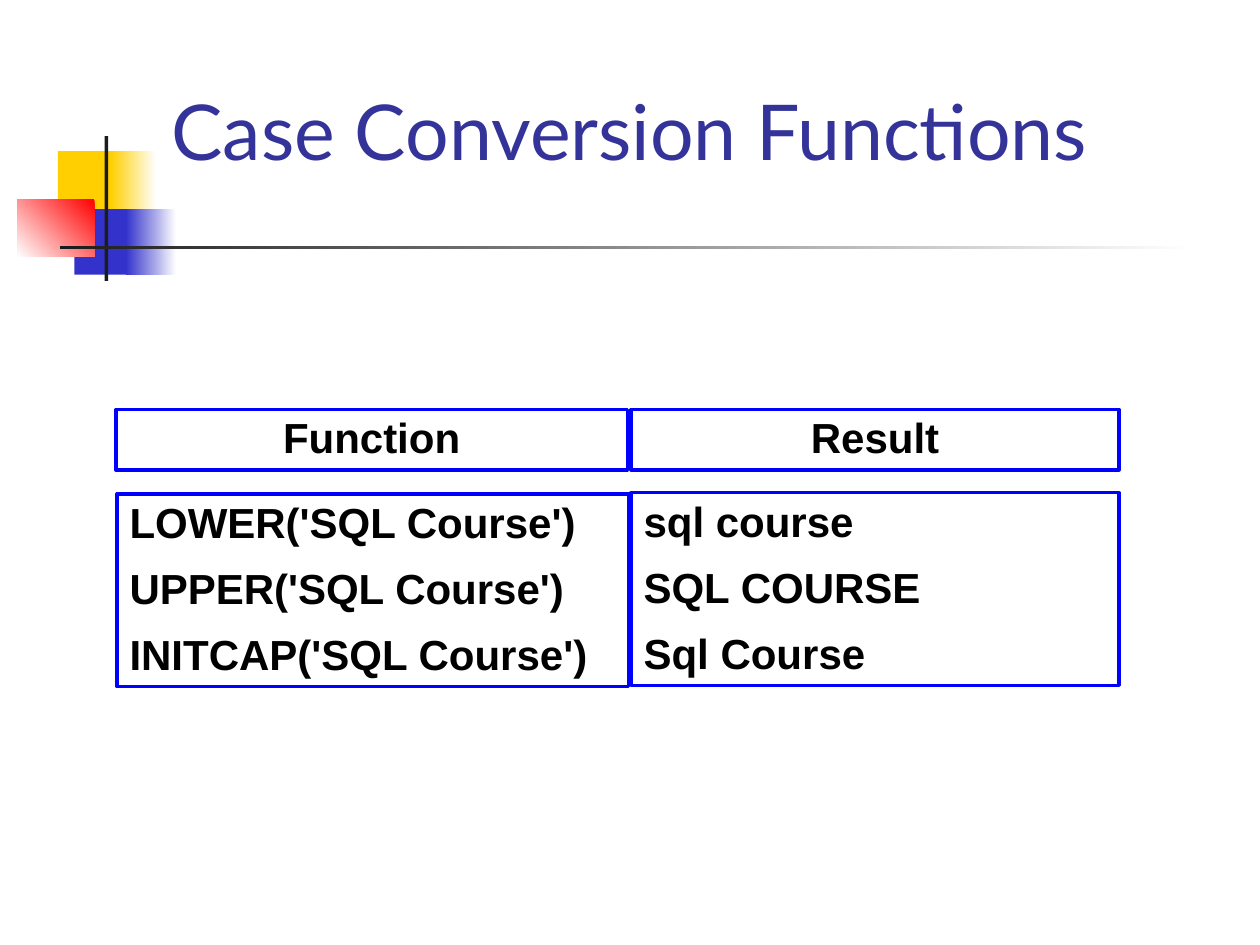
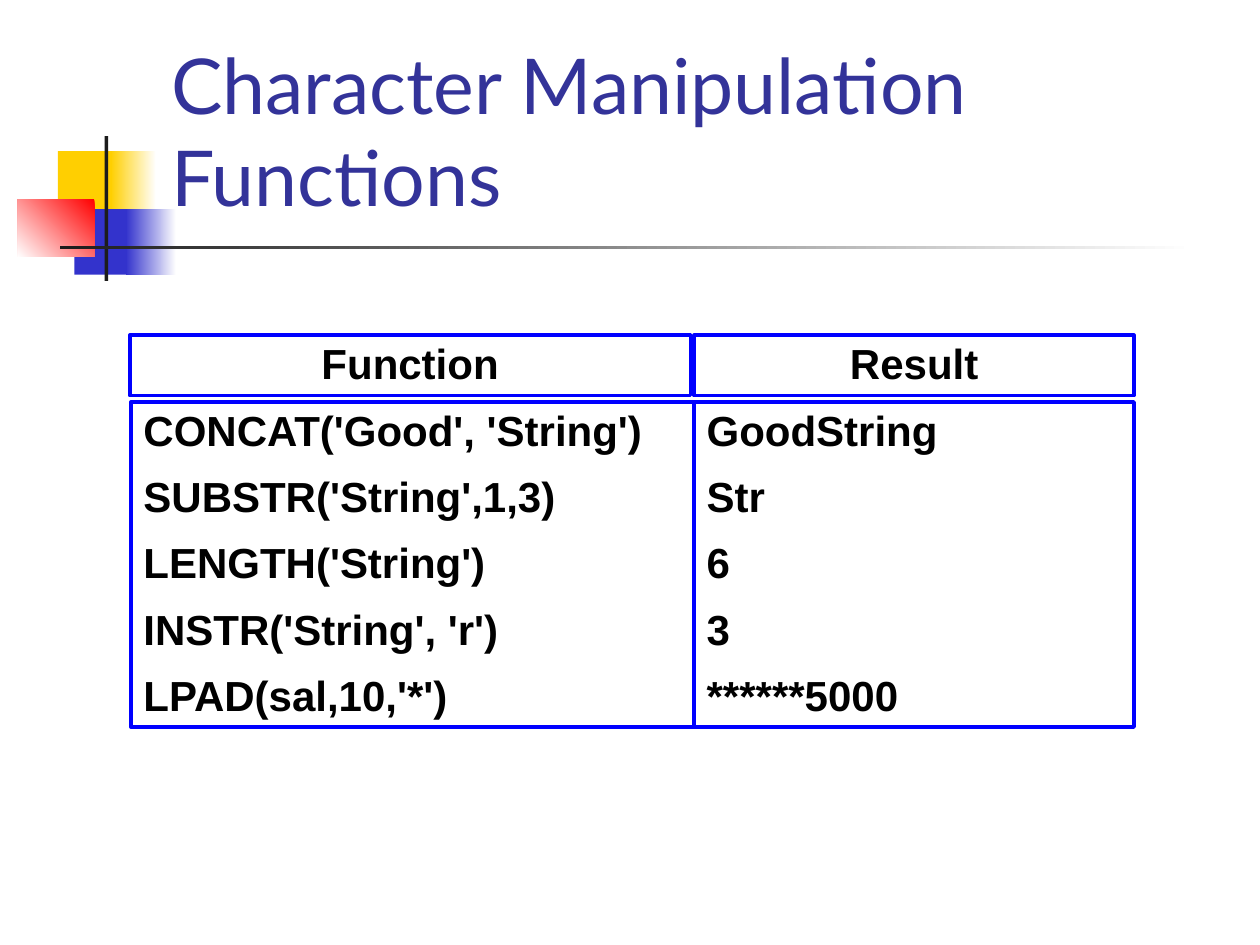
"""Build two slides on SQL character functions with a shared ornamental title band."""
from pptx import Presentation
from pptx.dml.color import RGBColor
from pptx.enum.shapes import MSO_SHAPE
from pptx.enum.text import MSO_ANCHOR, MSO_AUTO_SIZE, PP_ALIGN
from pptx.util import Inches, Pt

RECTANGLE = MSO_SHAPE.RECTANGLE
TOP, MIDDLE = MSO_ANCHOR.TOP, MSO_ANCHOR.MIDDLE
LEFT, CENTER = PP_ALIGN.LEFT, PP_ALIGN.CENTER
FIXED, GROW = MSO_AUTO_SIZE.NONE, MSO_AUTO_SIZE.SHAPE_TO_FIT_TEXT

COLORS = {
    "white": "FFFFFF", "black": "000000", "title": "333399", "border": "0000FF",
    "yellow": "FFCF01", "indigo": "3333CC", "red": "FF0000", "charcoal": "1C1C1C",
}
RGB = {name: RGBColor.from_string(value) for name, value in COLORS.items()}

ORNAMENTS = [
    ((0.46, 1.2, 0.48, 0.52), ["yellow"], 0),
    ((0.88, 1.2, 0.36, 0.52), ["white", "yellow"], 180),
    ((0.59, 1.66, 0.46, 0.52), ["indigo"], 0),
    ((1, 1.66, 0.4, 0.52), ["white", "indigo"], 180),
    ((0.14, 1.58, 0.61, 0.46), ["red", "white"], 225),
    ((0.83, 1.08, 0.03, 1.15), ["charcoal"], 0),
    ((0.48, 1.95, 9, 0.03), ["white", "charcoal"], 180),
]
TITLE_AREA = (1.26, 0.23, 8.52, 1.6)

SLIDES = [
    ("Case Conversion Functions", [
        ((0.92, 3.25, 4.06, 0.48), CENTER, ["Function"]),
        ((5.01, 3.25, 3.87, 0.48), CENTER, ["Result"]),
        ((0.93, 3.92, 4.06, 1.53), LEFT,
         ["LOWER('SQL Course')", "UPPER('SQL Course')", "INITCAP('SQL Course')"]),
        ((5.01, 3.91, 3.87, 1.53), LEFT, ["sql course", "SQL COURSE", "Sql Course"]),
    ]),
    ("Character Manipulation Functions", [
        ((1.04, 3.19, 4.48, 2.58), LEFT,
         ["CONCAT('Good', 'String')", "SUBSTR('String',1,3)", "LENGTH('String')",
          "INSTR('String', 'r')", "LPAD(sal,10,'*')"]),
        ((5.51, 3.19, 3.49, 2.58), LEFT, ["GoodString", "Str", "6", "3", "******5000"]),
        ((1.03, 2.66, 4.45, 0.48), CENTER, ["Function"]),
        ((5.51, 2.66, 3.49, 0.48), CENTER, ["Result"]),
    ]),
]


def write_text(frame, lines, *, font, size, color, bold=False, align=LEFT,
               anchor=TOP, fit=FIXED, spacing=1.0, before=0):
    frame.word_wrap = True
    frame.auto_size = fit
    frame.vertical_anchor = anchor
    for index, line in enumerate(lines):
        para = frame.add_paragraph() if index else frame.paragraphs[0]
        para.alignment = align
        para.line_spacing = spacing
        para.space_before = Pt(before if index else 0)
        span = para.add_run()
        span.text = line
        span.font.name = font
        span.font.size = Pt(size)
        span.font.bold = bold
        span.font.color.rgb = RGB[color]


def add_box(page, area):
    box = page.shapes.add_shape(RECTANGLE, *map(Inches, area))
    box.shadow.inherit = False
    return box


deck = Presentation()
deck.slide_width, deck.slide_height = Inches(10), Inches(7.5)
title_only = deck.slide_layouts[5]
pages = [deck.slides.add_slide(title_only) for _ in SLIDES]

master_tree = deck.slide_master.element.cSld.spTree
for position, (area, colors, angle) in enumerate(ORNAMENTS, start=2):
    ornament = add_box(pages[0], area)
    ornament.line.fill.background()
    if len(colors) == 1:
        ornament.fill.solid()
        ornament.fill.fore_color.rgb = RGB[colors[0]]
    else:
        ornament.fill.gradient()
        ornament.fill.gradient_angle = angle
        for stop, color in zip(ornament.fill.gradient_stops, colors):
            stop.color.rgb = RGB[color]
    ornament.element.nvSpPr.cNvPr.set("id", str(100 + position))
    master_tree.insert(position, ornament.element)

for page, (heading, panels) in zip(pages, SLIDES):
    title = page.shapes.title
    title.left, title.top, title.width, title.height = map(Inches, TITLE_AREA)
    write_text(title.text_frame, [heading], font="Lato", size=44, color="title",
               anchor=MIDDLE)
    for area, align, lines in panels:
        panel = add_box(page, area)
        panel.fill.solid()
        panel.fill.fore_color.rgb = RGB["white"]
        panel.line.color.rgb = RGB["border"]
        panel.line.width = Pt(2)
        write_text(panel.text_frame, lines, font="Arial", size=24, color="black",
                   bold=True, align=align, fit=GROW, spacing=0.95, before=10.5)

deck.save("out.pptx")
